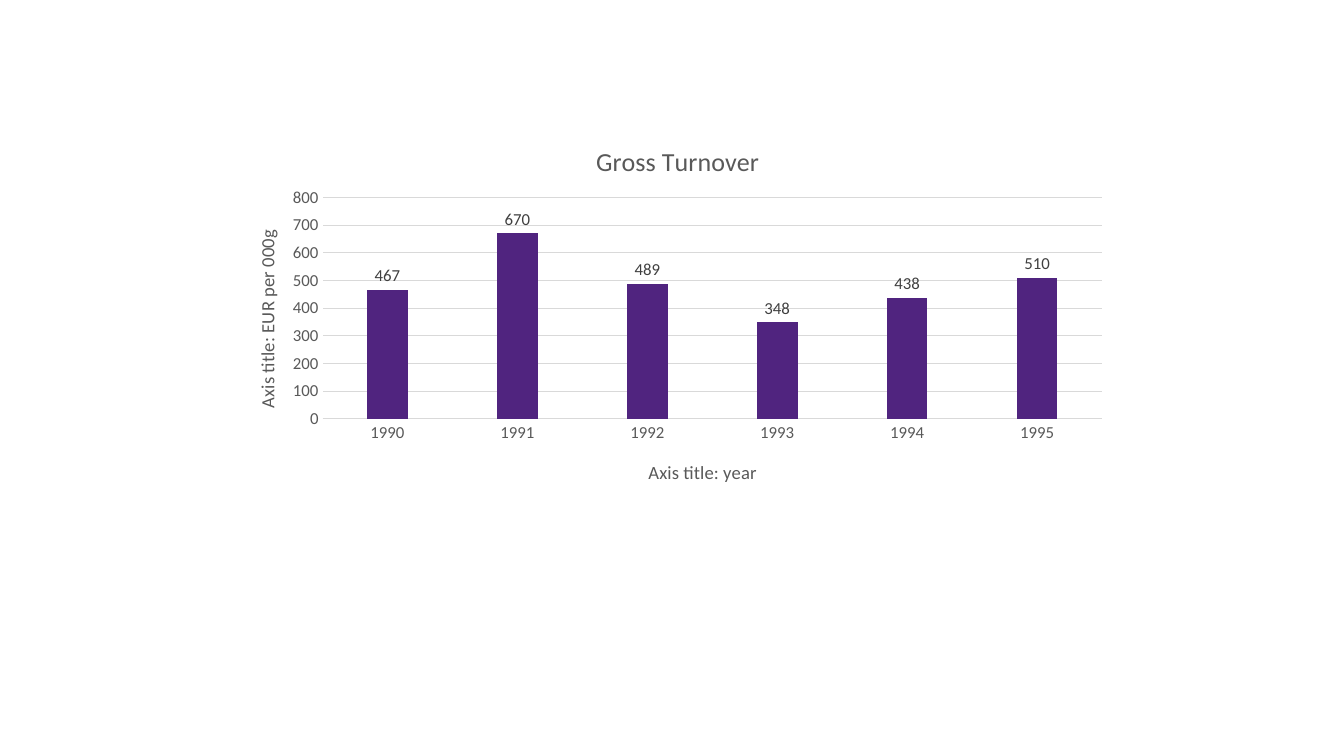
from dataclasses import dataclass

from pptx import Presentation
from pptx.chart.data import CategoryChartData
from pptx.dml.color import RGBColor
from pptx.enum.chart import XL_CHART_TYPE, XL_LABEL_POSITION, XL_TICK_MARK
from pptx.oxml import parse_xml
from pptx.oxml.ns import nsdecls, qn
from pptx.util import Pt


@dataclass(frozen=True)
class Theme:
    font: str = "Calibri"
    text: RGBColor = RGBColor(0x59, 0x59, 0x59)
    label: RGBColor = RGBColor(0x40, 0x40, 0x40)
    rule: RGBColor = RGBColor(0xD9, 0xD9, 0xD9)
    bar: RGBColor = RGBColor(0x50, 0x24, 0x7F)
    title_size: float = 18.6
    axis_title_size: float = 13.3
    tick_size: float = 12
    rule_width: float = 0.75


THEME = Theme()
TURNOVER = {"1990": 467, "1991": 670, "1992": 489, "1993": 348, "1994": 438, "1995": 510}


def set_font(font, size, color):
    font.name = THEME.font
    font.size = Pt(size)
    font.bold = False
    font.color.rgb = color


def set_line(line):
    line.color.rgb = THEME.rule
    line.width = Pt(THEME.rule_width)


def place(element, index, target="", **fractions):
    """Fix a chart part at the given fractions of the chart's width and height."""
    for layout in element.findall(qn("c:layout")):
        element.remove(layout)
    modes = "".join(f'<c:{side}Mode val="edge"/>' for side in "xy")
    values = "".join(f'<c:{side} val="{value}"/>' for side, value in fractions.items())
    element.insert(index, parse_xml(
        f'<c:layout {nsdecls("c")}><c:manualLayout>{target}{modes}{values}'
        "</c:manualLayout></c:layout>"))


def write_title(title, text, size, x, y, rotation=0):
    frame = title.text_frame
    frame.text = text
    set_font(frame.paragraphs[0].font, size, THEME.text)
    title._element.find(".//" + qn("a:bodyPr")).set("rot", str(rotation * 60000))
    place(title._element, 1, x=x, y=y)


def style_axis(axis):
    axis.major_tick_mark = axis.minor_tick_mark = XL_TICK_MARK.NONE
    set_font(axis.tick_labels.font, THEME.tick_size, THEME.text)


def style_bars(plot):
    plot.gap_width = 219
    plot.overlap = -27
    plot.vary_by_categories = False
    fill = plot.series[0].format.fill
    fill.solid()
    fill.fore_color.rgb = THEME.bar
    plot.has_data_labels = True
    labels = plot.data_labels
    labels.show_value = True
    labels.position = XL_LABEL_POSITION.OUTSIDE_END
    set_font(labels.font, THEME.tick_size, THEME.label)


def add_turnover_chart(slide):
    data = CategoryChartData()
    data.categories = list(TURNOVER)
    data.add_series("Series 1", list(TURNOVER.values()))
    chart = slide.shapes.add_chart(
        XL_CHART_TYPE.COLUMN_CLUSTERED, Pt(160), Pt(85), Pt(640), Pt(273.6), data).chart
    chart.has_legend = False
    chart.font.name = THEME.font
    chart.font.size = Pt(10)
    style_bars(chart.plots[0])

    years, amounts = chart.category_axis, chart.value_axis
    style_axis(years)
    set_line(years.format.line)
    style_axis(amounts)
    amounts.minimum_scale, amounts.maximum_scale, amounts.major_unit = 0, 800, 100
    amounts.format.line.fill.background()
    set_line(amounts.major_gridlines.format.line)

    write_title(chart.chart_title, "Gross Turnover", THEME.title_size, 0.41, 0.05)
    write_title(years.axis_title, "Axis title: year", THEME.axis_title_size, 0.47, 0.88)
    write_title(amounts.axis_title, "Axis title: EUR per 000g", THEME.axis_title_size,
                0.03, 0.28, rotation=-90)
    plot_area = chart._chartSpace.find(".//" + qn("c:plotArea"))
    place(plot_area, 0, '<c:layoutTarget val="inner"/>', x=0.11, y=0.205, w=0.87, h=0.578)


def main():
    presentation = Presentation()
    presentation.slide_width, presentation.slide_height = Pt(960), Pt(540)
    slide = presentation.slides.add_slide(presentation.slide_layouts[6])
    add_turnover_chart(slide)
    presentation.save("out.pptx")


if __name__ == "__main__":
    main()
